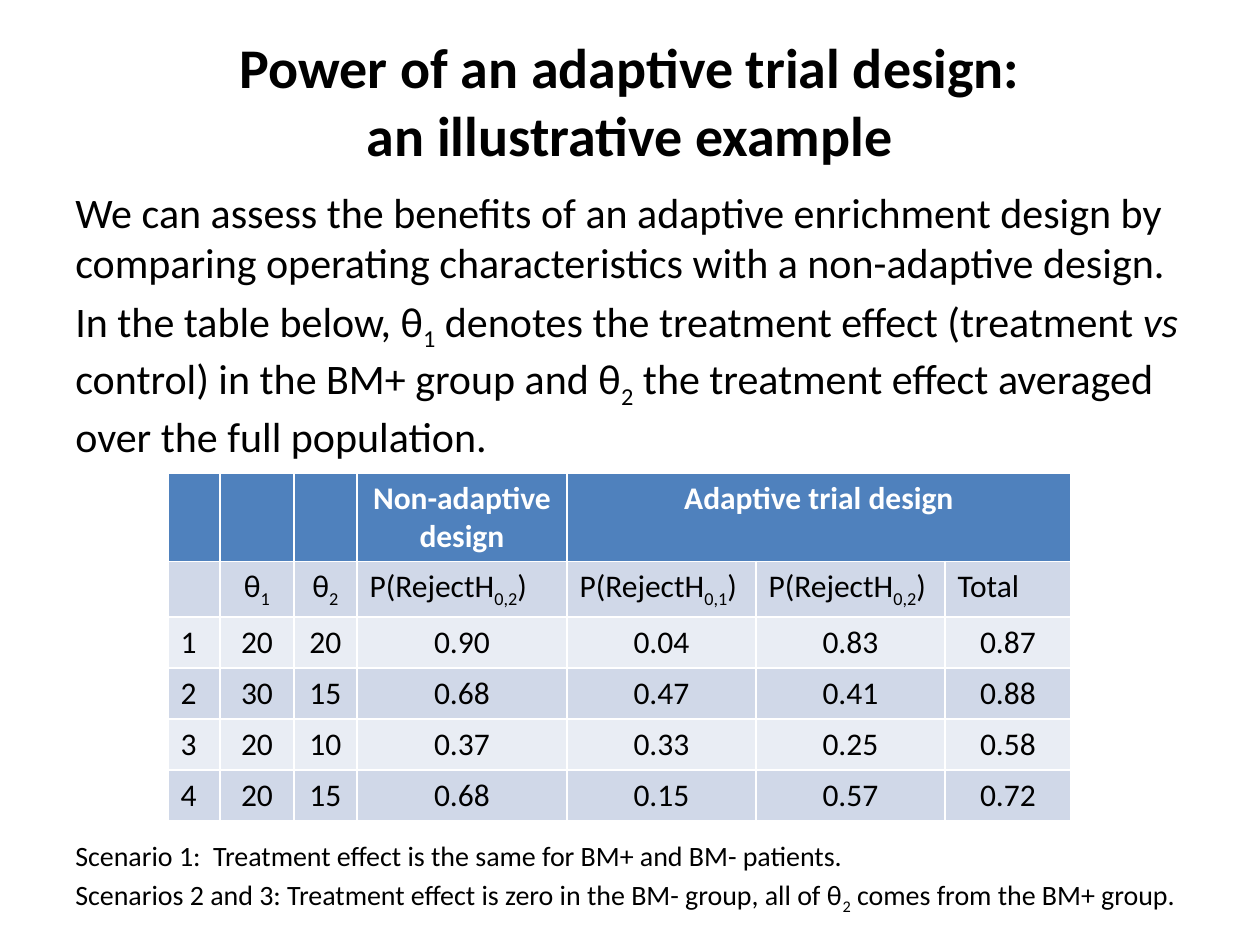
import pptx
import pptx.dml.color
import pptx.enum.text
import pptx.util

PX = 914400 / 126
FONT = "Calibri"
COLORS = {"text": "000000", "header": "4F81BD", "header_text": "FFFFFF",
          "band_dark": "D0D8E8", "band_light": "E9EDF4"}
ALIGN = pptx.enum.text.PP_ALIGN

COLUMNS = [52, 74, 63, 210, 189, 189, 126]
ROWS = [88, 56, 51, 51, 51, 51]
THETA_1 = ["θ", ("1", "sub")]
THETA_2 = ["θ", ("2", "sub")]


def reject(index):
    return ["P(RejectH", (index, "sub"), ")"]


HEADER = [[], [], [], ["Non-adaptive design"], ["Adaptive trial design"], [], []]
SUBHEADER = [[], THETA_1, THETA_2, reject("0,2"), reject("0,1"), reject("0,2"), ["Total"]]
SCENARIOS = [
    ["1", "20", "20", "0.90", "0.04", "0.83", "0.87"],
    ["2", "30", "15", "0.68", "0.47", "0.41", "0.88"],
    ["3", "20", "10", "0.37", "0.33", "0.25", "0.58"],
    ["4", "20", "15", "0.68", "0.15", "0.57", "0.72"],
]

INTRO = [
    ["We can assess the benefits of an adaptive enrichment design by comparing "
     "operating characteristics with a non-adaptive design."],
    ["In the table below, ", *THETA_1, " denotes the treatment effect (treatment ",
     ("vs", "italic"), " control) in the BM+ group and ", *THETA_2,
     " the treatment effect averaged over the full population."],
]
NOTES = [
    ["Scenario 1:  Treatment effect is the same for BM+ and BM- patients."],
    ["Scenarios 2 and 3: Treatment effect is zero in the BM- group, all of ", *THETA_2,
     " comes from the BM+ group."],
]


def px(length):
    return pptx.util.Emu(round(length * PX))


def rgb(name):
    return pptx.dml.color.RGBColor.from_string(COLORS[name])


def add_spans(para, parts, size, color="text", bold=False):
    """Add runs; a part is plain text or a (text, style) pair."""
    for part in parts:
        text, style = (part, "") if isinstance(part, str) else part
        span = para.add_run()
        span.text = text
        span.font.name = FONT
        span.font.size = pptx.util.Pt(size)
        span.font.bold = bold
        span.font.color.rgb = rgb(color)
        if style == "italic":
            span.font.italic = True
        elif style == "sub":
            span._r.get_or_add_rPr().set("baseline", "-25000")


def add_title(page, box, lines):
    title = page.shapes.title
    title.left, title.top, title.width, title.height = map(px, box)
    title.text_frame.vertical_anchor = pptx.enum.text.MSO_ANCHOR.MIDDLE
    para = title.text_frame.paragraphs[0]
    para.alignment = ALIGN.CENTER
    for number, line in enumerate(lines):
        if number:
            para.add_line_break()
        add_spans(para, [line], 32, bold=True)


def add_text(page, box, paragraphs, size):
    frame = page.shapes.add_textbox(*map(px, box)).text_frame
    frame.word_wrap = True
    for number, parts in enumerate(paragraphs):
        para = frame.add_paragraph() if number else frame.paragraphs[0]
        if number:
            para.space_before = pptx.util.Pt(size * 0.2)
        add_spans(para, parts, size)


def add_power_table(page, left, top):
    content = [HEADER, SUBHEADER] + [[[value] for value in row] for row in SCENARIOS]
    table = page.shapes.add_table(len(ROWS), len(COLUMNS), px(left), px(top),
                                  px(sum(COLUMNS)), px(sum(ROWS))).table
    for column, width in zip(table.columns, COLUMNS):
        column.width = px(width)
    for row, height in zip(table.rows, ROWS):
        row.height = px(height)
    table.cell(0, 4).merge(table.cell(0, 6))

    for r, row in enumerate(content):
        header = r == 0
        fill = "header" if header else "band_dark" if r % 2 else "band_light"
        for c, parts in enumerate(row):
            cell = table.cell(r, c)
            cell.fill.solid()
            cell.fill.fore_color.rgb = rgb(fill)
            para = cell.text_frame.paragraphs[0]
            # Scenario numbers and the long subheadings stay left aligned
            left_aligned = c == 0 or (r == 1 and c >= 3)
            para.alignment = ALIGN.LEFT if left_aligned else ALIGN.CENTER
            add_spans(para, parts, 18, "header_text" if header else "text", header)


def main():
    deck = pptx.Presentation()
    deck.slide_width, deck.slide_height = px(1260), px(945)
    page = deck.slides.add_slide(deck.slide_layouts.get_by_name("Title Only"))

    # Heading and introduction
    add_title(page, (63, 32, 1134, 136),
              ["Power of an adaptive trial design:", "an illustrative example"])
    add_text(page, (63, 180, 1134, 290), INTRO, 24)

    # Operating characteristics and scenario notes
    add_power_table(page, 168, 473)
    add_text(page, (63, 832, 1134, 93), NOTES, 16)

    deck.save("out.pptx")


if __name__ == "__main__":
    main()
